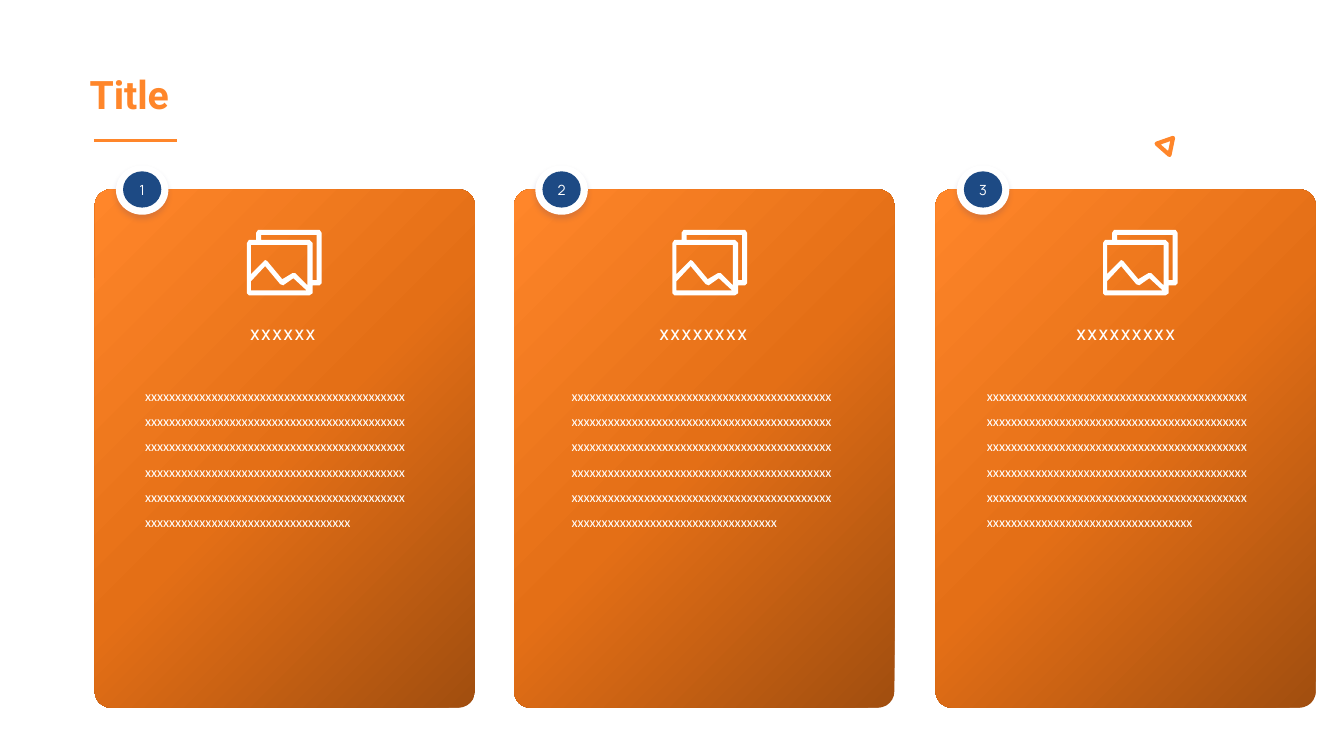
from copy import deepcopy
from dataclasses import dataclass

from lxml import etree
from pptx import Presentation
from pptx.dml.color import RGBColor
from pptx.enum.shapes import MSO_CONNECTOR, MSO_SHAPE
from pptx.enum.text import MSO_ANCHOR, MSO_AUTO_SIZE, PP_ALIGN
from pptx.oxml.ns import qn
from pptx.util import Pt

PX = 9144
CARD, OVAL, TRIANGLE = MSO_SHAPE.ROUNDED_RECTANGLE, MSO_SHAPE.OVAL, MSO_SHAPE.ISOSCELES_TRIANGLE
STRAIGHT = MSO_CONNECTOR.STRAIGHT
GROW, MIDDLE = MSO_AUTO_SIZE.SHAPE_TO_FIT_TEXT, MSO_ANCHOR.MIDDLE
LEFT, CENTER = PP_ALIGN.LEFT, PP_ALIGN.CENTER

ICON = (
    ((72, 0), (11, 0), (9, 3), (9, 10), (2, 10), (0, 13), (0, 63), (2, 65),
     (62, 65), (65, 63), (65, 55), (72, 55), (74, 53), (74, 3)),
    ((60, 15), (60, 55), (48, 43), (45, 43), (35, 49), (20, 31), (18, 30),
     (17, 31), (4, 44), (4, 15)),
    ((4, 51), (18, 36), (33, 54), (36, 55), (46, 48), (59, 60), (4, 60)),
    ((69, 50), (65, 50), (65, 13), (62, 10), (14, 10), (14, 5), (69, 5)),
)
BODY = "x" * 249


@dataclass(frozen=True)
class Theme:
    accent: str = "FF862A"
    badge: str = "1D4A84"
    light: str = "FFFFFF"
    shadow: str = "2D2D7D"
    gradient: tuple = ((0, "A14E0F"), (0.5, "E46F16"), (1, "FF862A"))
    font: str = "Roboto"
    body_font: str = "Calibri"
    badge_font: str = "Manrope"
    title_size: int = 28
    heading_size: int = 14
    small_size: int = 10


def px(*lengths):
    return [n * PX for n in lengths]


def rgb(color):
    return RGBColor.from_string(color)


class Deck:
    def __init__(self, prs, theme):
        self.theme = theme
        self.s = prs.slides.add_slide(prs.slide_layouts[6])

    def style(self, p, font, size, color, bold=False, align=LEFT):
        p.alignment = align
        p.font.name, p.font.size, p.font.bold = font, Pt(size), bold
        p.font.color.rgb = rgb(color)

    def text(self, box, words, font, size, color, bold=False, align=LEFT, leading=1.0, tracking=0):
        tf = self.s.shapes.add_textbox(*px(*box)).text_frame
        tf.word_wrap, tf.auto_size = True, GROW
        p = tf.paragraphs[0]
        r = p.add_run()
        r.text = words
        p.line_spacing = leading
        self.style(p, font, size, color, bold, align)
        if tracking:
            r._r.get_or_add_rPr().set("spc", str(tracking * 100))

    def shape(self, shapes, kind, box, fill=None):
        sp = shapes.add_shape(kind, *px(*box))
        sp.shadow.inherit = False
        sp.line.fill.background()
        if fill:
            sp.fill.solid()
            sp.fill.fore_color.rgb = rgb(fill)
        else:
            sp.fill.background()
        return sp

    def rule(self, x1, y1, x2, y2):
        line = self.s.shapes.add_connector(STRAIGHT, *px(x1, y1, x2, y2))
        line.line.color.rgb = rgb(self.theme.accent)
        line.line.width = Pt(2.25)
        etree.SubElement(line._element.spPr, qn("a:effectLst"))

    def triangle(self, box, rotation):
        sp = self.shape(self.s.shapes, TRIANGLE, box)
        sp.rotation = rotation
        sp.line.color.rgb = rgb(self.theme.accent)
        sp.line.width = Pt(3)

    def card(self, box):
        sp = self.shape(self.s.shapes, CARD, box)
        sp.adjustments[0] = 0.042
        sp.fill.gradient()
        sp.fill.gradient_angle = 135
        stops = sp._element.spPr.find(".//" + qn("a:gsLst"))
        stops.append(deepcopy(stops[0]))
        for stop, (position, color) in zip(sp.fill.gradient_stops, self.theme.gradient):
            stop.position = position
            stop.color.rgb = rgb(color)

    def badge(self, x, y, number):
        t = self.theme
        shapes = self.s.shapes.add_group_shape().shapes
        ring = self.shape(shapes, OVAL, (x, y, 52, 49), t.light)
        effects = ring._element.spPr.find(qn("a:effectLst"))
        shadow = etree.SubElement(effects, qn("a:outerShdw"), blurRad=str(Pt(4)),
                                  dist=str(Pt(3)), dir="5400000", algn="t", rotWithShape="0")
        color = etree.SubElement(shadow, qn("a:srgbClr"), val=t.shadow)
        etree.SubElement(color, qn("a:alpha"), val="14000")
        tf = self.shape(shapes, OVAL, (x + 7, y + 6, 38, 36), t.badge).text_frame
        tf.margin_left = tf.margin_right = tf.margin_top = tf.margin_bottom = 0
        tf.vertical_anchor = MIDDLE
        p = tf.paragraphs[0]
        p.add_run().text = str(number)
        self.style(p, t.badge_font, t.small_size, t.light, align=CENTER)

    def icon(self, x, y):
        outline, *holes = ICON
        fb = self.s.shapes.build_freeform(*outline[0], scale=PX)
        fb.add_line_segments(outline[1:])
        for hole in holes:
            fb.move_to(*hole[0])
            fb.add_line_segments(hole[1:])
        sp = fb.convert_to_shape(*px(x, y))
        sp.shadow.inherit = False
        sp.fill.solid()
        sp.fill.fore_color.rgb = rgb(self.theme.light)
        sp.line.fill.background()


def main():
    prs = Presentation()
    prs.slide_width, prs.slide_height = px(1333, 750)
    t = Theme()
    deck = Deck(prs, t)

    deck.triangle((1150, 135, 17, 15), 41.3)
    deck.text((79, 65, 446, 57), "Title", t.font, t.title_size, t.accent, bold=True)
    deck.rule(93, 139, 176, 139)

    cards = (
        (94, "xxxxxx", 158, 245, 134, 245),
        (510, "xxxxxxxx", 575, 245, 557, 667),
        (928, "xxxxxxxxx", 974, 285, 969, 1094),
    )
    for number, (x, heading, heading_x, heading_w, body_x, icon_x) in enumerate(cards, 1):
        deck.card((x, 188, 377, 514))
        deck.text((heading_x, 309, heading_w, 37), heading, t.font, t.heading_size, t.light,
                  align=CENTER, leading=1.2, tracking=1)
        deck.badge(x + 21, 164, number)
        deck.text((body_x, 371, 281, 159), BODY, t.body_font, t.small_size, t.light, leading=1.5)
        deck.icon(icon_x, 228)

    prs.save("out.pptx")


if __name__ == "__main__":
    main()
